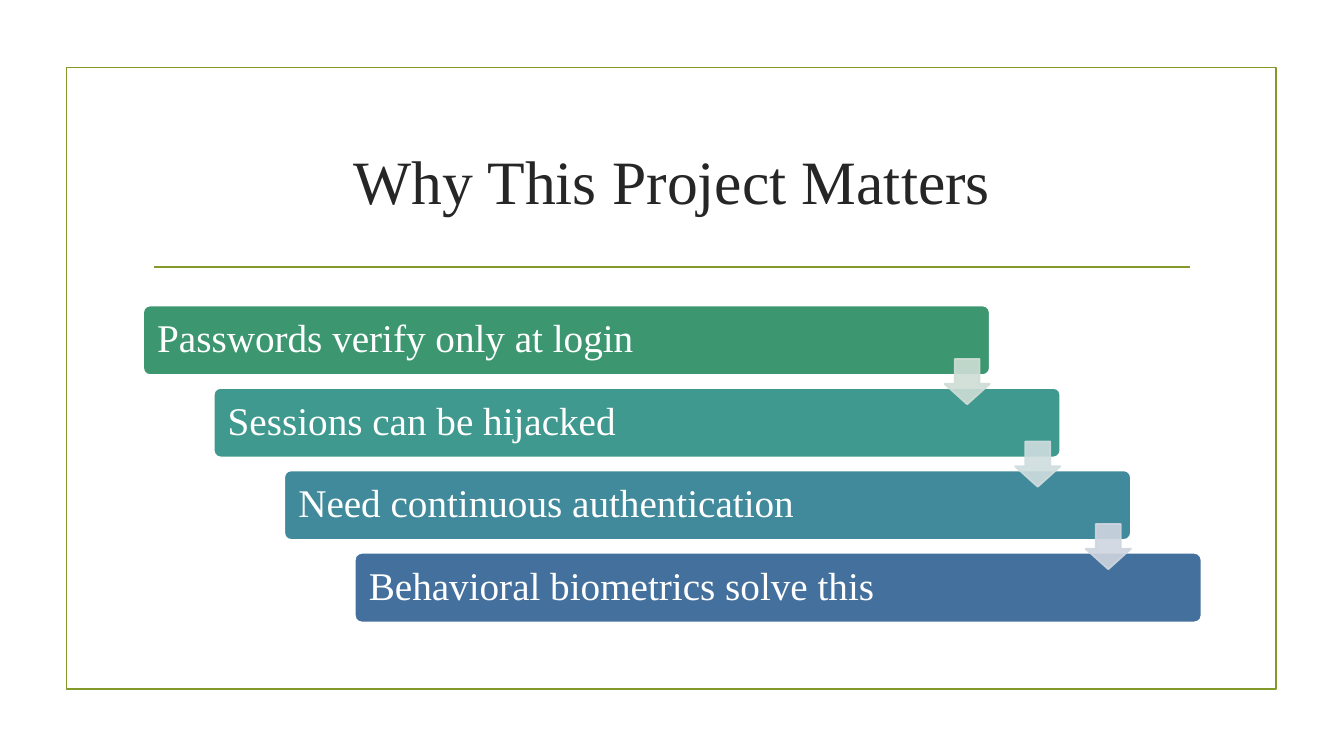
from dataclasses import dataclass

from lxml import etree
from pptx import Presentation
from pptx.dml.color import RGBColor
from pptx.enum.shapes import MSO_CONNECTOR, MSO_SHAPE
from pptx.enum.text import MSO_ANCHOR, PP_ALIGN
from pptx.oxml.ns import qn
from pptx.util import Pt

RECT = MSO_SHAPE.RECTANGLE
ROUND = MSO_SHAPE.ROUNDED_RECTANGLE
DOWN = MSO_SHAPE.DOWN_ARROW
STRAIGHT = MSO_CONNECTOR.STRAIGHT
MIDDLE = MSO_ANCHOR.MIDDLE
CENTER = PP_ALIGN.CENTER
LEFT = PP_ALIGN.LEFT

FONT = "Times New Roman"
OLIVE = "83992A"
WHITE = "FFFFFF"
EDGE = 1.25
BAR_X, BAR_Y, BAR_W, BAR_H = 102.24, 218.2, 604.8, 49.7
STEP_X, STEP_Y = 50.4, 58.9
ARROW, DROP = 32.4, 38.2


@dataclass
class Step:
    text: str
    fill: str


STEPS = [
    Step("Passwords verify only at login", "3C9770"),
    Step("Sessions can be hijacked", "3F998E"),
    Step("Need continuous authentication", "418A9B"),
    Step("Behavioral biometrics solve this", "44709D"),
]
ARROWS = ["CEDDD5", "CFDDDE", "CFD5DF"]


def color(code: str) -> RGBColor:
    return RGBColor.from_string(code)


def add_box(slide, kind, x: float, y: float, w: float, h: float,
            fill: str | None, line: str, adj: tuple = ()):
    box = slide.shapes.add_shape(kind, Pt(x), Pt(y), Pt(w), Pt(h))
    box.shadow.inherit = False
    if fill:
        box.fill.solid()
        box.fill.fore_color.rgb = color(fill)
    else:
        box.fill.background()
    box.line.color.rgb = color(line)
    box.line.width = Pt(EDGE)
    for i, value in enumerate(adj):
        box.adjustments[i] = value
    return box


def set_text(box, text: str, size: float, ink: str, align) -> None:
    frame = box.text_frame
    frame.text = text
    frame.word_wrap = True
    frame.vertical_anchor = MIDDLE
    para = frame.paragraphs[0]
    para.alignment = align
    font = para.runs[0].font
    font.name = FONT
    font.size = Pt(size)
    font.color.rgb = color(ink)


def add_frame(slide) -> None:
    add_box(slide, RECT, 47.5, 48.2, 864, 444.2, None, OLIVE)
    rule = slide.shapes.add_connector(
        STRAIGHT, Pt(110.2), Pt(190.8), Pt(850.3), Pt(190.8))
    rule.line.color.rgb = color(OLIVE)
    rule.line.width = Pt(EDGE)
    etree.SubElement(rule._element.spPr, qn("a:effectLst"))


def add_title(slide, text: str) -> None:
    box = slide.shapes.add_textbox(Pt(102.24), Pt(77), Pt(756), Pt(103))
    set_text(box, text, 44, "262626", CENTER)


def add_step(slide, i: int, step: Step) -> None:
    bar = add_box(slide, ROUND, BAR_X + i * STEP_X, BAR_Y + i * STEP_Y,
                  BAR_W, BAR_H, step.fill, WHITE, (0.1,))
    set_text(bar, step.text, 28, WHITE, LEFT)
    frame = bar.text_frame
    frame.margin_left = frame.margin_right = Pt(8.6)
    frame.margin_top = frame.margin_bottom = Pt(8.6)
    frame.paragraphs[0].line_spacing = 0.9


def add_arrow(slide, i: int, fill: str) -> None:
    x = BAR_X + BAR_W - ARROW + i * STEP_X
    y = BAR_Y + DROP + i * STEP_Y
    arrow = add_box(slide, DOWN, x, y, ARROW, ARROW, fill, fill, (0.45, 0.55))
    arrow.adjustments[0] = 0.55
    arrow.adjustments[1] = 0.45
    for tone in arrow._element.spPr.iter(qn("a:srgbClr")):
        etree.SubElement(tone, qn("a:alpha"), val="90000")


def main() -> None:
    deck = Presentation()
    deck.slide_width, deck.slide_height = Pt(960), Pt(540)
    slide = deck.slides.add_slide(deck.slide_layouts[6])
    add_frame(slide)
    add_title(slide, "Why This Project Matters")
    for i, step in enumerate(STEPS):
        add_step(slide, i, step)
    for i, fill in enumerate(ARROWS):
        add_arrow(slide, i, fill)
    deck.save("out.pptx")


if __name__ == "__main__":
    main()
